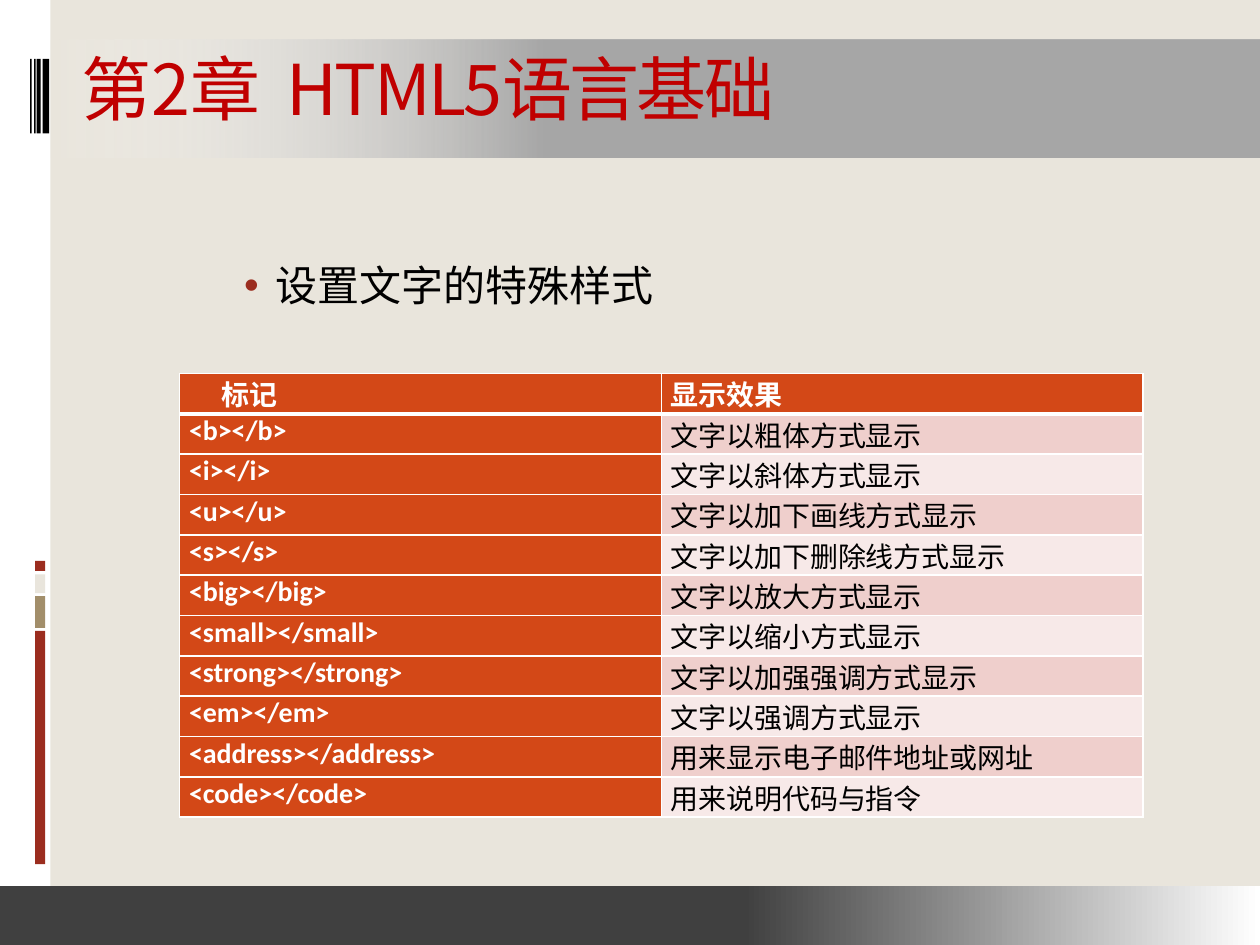
import pptx
import pptx.dml.color
import pptx.enum.shapes
import pptx.enum.text
import pptx.oxml
import pptx.oxml.ns
import pptx.util
from lxml import etree
from pptx.util import Cm, Pt

FONT, CJK_FONT = "Calibri", "Noto Sans CJK SC"
COLORS = {
    "paper": "E9E5DC", "white": "FFFFFF", "black": "000000",
    "brick": "9B2D1F", "tan": "A28E6A", "grey": "A6A6A6", "dark": "404040",
    "title": "C00000", "orange": "D34817", "band1": "EFCFCC", "band2": "F7E9E8",
}
ROWS = [
    ("标记", "显示效果"),
    ("<b></b>", "文字以粗体方式显示"),
    ("<i></i>", "文字以斜体方式显示"),
    ("<u></u>", "文字以加下画线方式显示"),
    ("<s></s>", "文字以加下删除线方式显示"),
    ("<big></big>", "文字以放大方式显示"),
    ("<small></small>", "文字以缩小方式显示"),
    ("<strong></strong>", "文字以加强强调方式显示"),
    ("<em></em>", "文字以强调方式显示"),
    ("<address></address>", "用来显示电子邮件地址或网址"),
    ("<code></code>", "用来说明代码与指令"),
]


def rgb(name):
    return pptx.dml.color.RGBColor.from_string(COLORS[name])


def sub(parent, tag, **attrs):
    return etree.SubElement(parent, pptx.oxml.ns.qn(tag), attrs)


def add_rect(s, x, y, w, h, color=None):
    sp = s.shapes.add_shape(pptx.enum.shapes.MSO_SHAPE.RECTANGLE,
                            Cm(x), Cm(y), Cm(w), Cm(h))
    sp.shadow.inherit = False
    sp.line.fill.background()
    if color:
        sp.fill.solid()
        sp.fill.fore_color.rgb = rgb(color)
    return sp


def add_fade(s, x, y, w, h, color):
    """A band that stays solid for 59% and then fades to white."""
    sp = add_rect(s, x, y, w, h)
    sp.fill.gradient()
    sp.fill.gradient_angle = 0
    for stop, pos, name in zip(sp.fill.gradient_stops, (0.59, 1), (color, "white")):
        stop.position = pos
        stop.color.rgb = rgb(name)
    return sp


def set_font(p, size, color, bold=False, name=FONT):
    p.font.name, p.font.size, p.font.bold = name, Pt(size), bold
    p.font.color.rgb = rgb(color)
    props = p._p.pPr.find(pptx.oxml.ns.qn("a:defRPr"))
    sub(props, "a:ea", typeface=CJK_FONT)
    return props


def add_text(s, x, y, w, h, text):
    tf = s.shapes.add_textbox(Cm(x), Cm(y), Cm(w), Cm(h)).text_frame
    tf.word_wrap = True
    p = tf.paragraphs[0]
    p.text = text
    return tf, p


def add_bullet(p, left, hang, color):
    pPr = p._p.get_or_add_pPr()
    pPr.set("marL", str(Cm(left)))
    pPr.set("indent", str(Cm(-hang)))
    sub(sub(pPr, "a:buClr"), "a:srgbClr", val=COLORS[color])
    sub(pPr, "a:buFont", typeface="Arial")
    sub(pPr, "a:buChar", char="•")


def set_borders(cell, bottom):
    tcPr = cell._tc.get_or_add_tcPr()
    for side, width in (("L", 1), ("R", 1), ("T", 1), ("B", bottom)):
        ln = sub(tcPr, "a:ln" + side, w=str(Pt(width)))
        sub(sub(ln, "a:solidFill"), "a:srgbClr", val=COLORS["white"])


def fill_cell(cell, text, fill, header, strong):
    cell.margin_left = cell.margin_right = Cm(0.19)
    cell.margin_top = cell.margin_bottom = 0
    set_borders(cell, 3 if header else 1)
    cell.fill.solid()
    cell.fill.fore_color.rgb = rgb(fill)
    p = cell.text_frame.paragraphs[0]
    p.text = text
    p.space_before = p.space_after = Pt(1.2)
    if header:
        p.alignment = pptx.enum.text.PP_ALIGN.JUSTIFY
    set_font(p, 16, "white" if strong else "black", strong)


def add_tag_table(s, x, y, col_width, height):
    tbl = s.shapes.add_table(len(ROWS), 2, Cm(x), Cm(y), Cm(2 * col_width),
                             Cm(height)).table
    tbl.horz_banding = False
    for col in tbl.columns:
        col.width = Cm(col_width)
    for i, row in enumerate(ROWS):
        tbl.rows[i].height = Cm(height / len(ROWS))
        for j, text in enumerate(row):
            strong = i == 0 or j == 0
            fill = "orange" if strong else ("band1" if i % 2 else "band2")
            fill_cell(tbl.cell(i, j), text, fill, i == 0, strong)
    first = tbl.cell(0, 0).text_frame.paragraphs[0]
    first._p.pPr.set("indent", str(Cm(0.66)))


def add_decoration(s):
    # Left strip with coloured blocks and barcode
    add_rect(s, 0, 0, 1.02, 19.05, "white")
    for y, h, color in ((12.72, 4.7, "brick"), (12.02, 0.64, "tan"),
                        (11.58, 0.38, "paper"), (11.31, 0.2, "brick")):
        add_rect(s, 0.71, y, 0.2, h, color)
    for x, w in ((0.86, 0.13), (0.74, 0.08), (0.69, 0.03), (0.61, 0.03)):
        add_rect(s, x, 1.19, w, 1.5, "black")

    # Title band, transparent at its left end, and footer band
    band = add_fade(s, 0.99, 0.79, 24.41, 2.39, "grey")
    band.rotation = 180
    end = band._element.spPr.findall(".//" + pptx.oxml.ns.qn("a:srgbClr"))[1]
    sub(end, "a:alpha", val="0")
    add_fade(s, 0, 17.86, 25.4, 1.19, "dark")


def main():
    prs = pptx.Presentation()
    prs.slide_width, prs.slide_height = Cm(25.4), Cm(19.05)
    s = prs.slides.add_slide(prs.slide_layouts[6])
    s.background.fill.solid()
    s.background.fill.fore_color.rgb = rgb("paper")
    add_decoration(s)

    # Title
    tf, p = add_text(s, 1.4, 0.79, 21.59, 1.96, "第2章  HTML5语言基础")
    tf.vertical_anchor = pptx.enum.text.MSO_ANCHOR.MIDDLE
    set_font(p, 40, "title", name=CJK_FONT).set("spc", "-150")

    # Topic
    tf, p = add_text(s, 2.54, 4.97, 21.59, 12.7, "设置文字的特殊样式")
    add_bullet(p, 2.77, 0.64, "brick")
    p.line_spacing = 1.14
    set_font(p, 24, "black")

    # Tags and their effects
    add_tag_table(s, 3.62, 7.53, 9.71, 8.95)
    prs.save("out.pptx")


if __name__ == "__main__":
    main()
